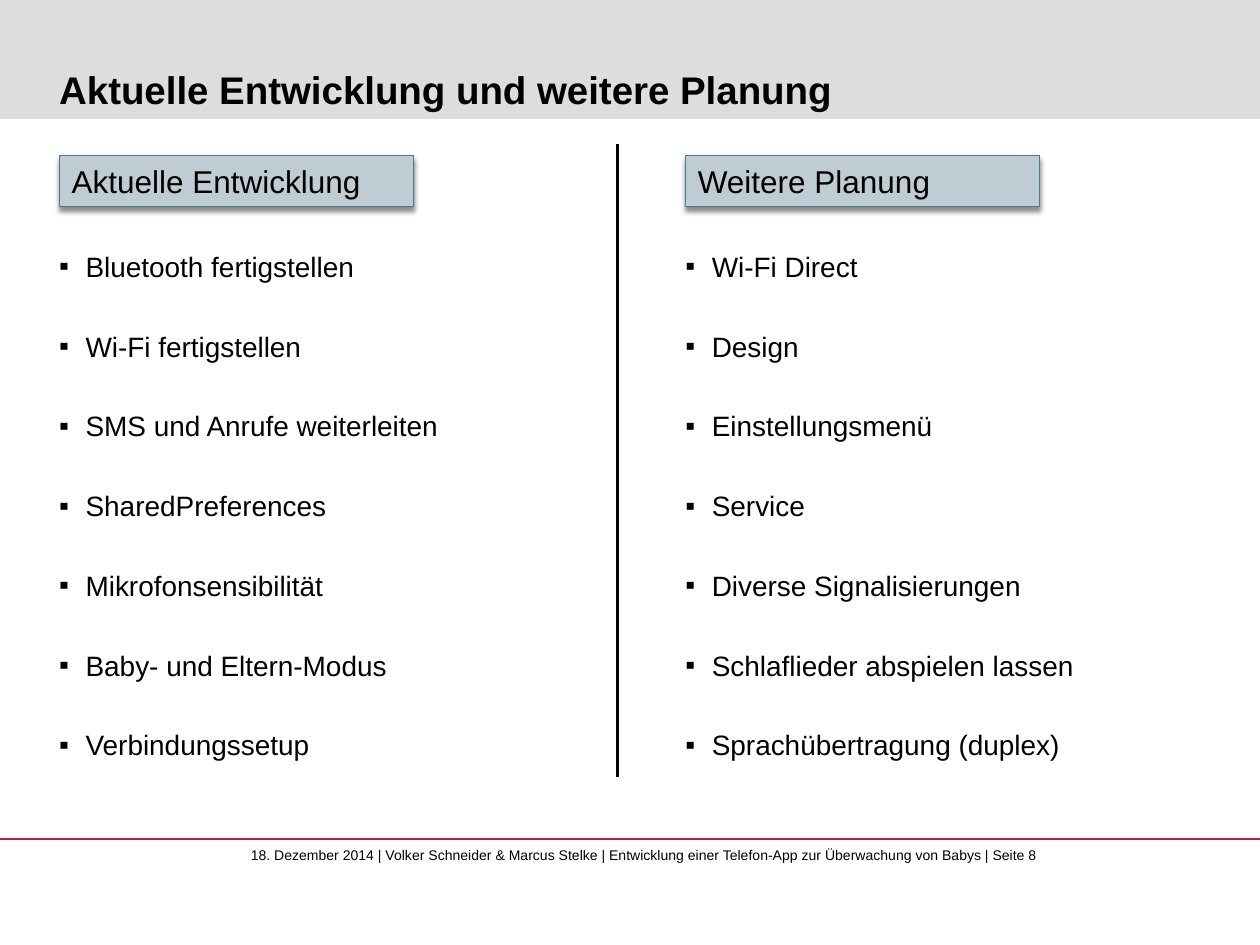
from lxml import etree
from pptx import Presentation
from pptx.dml.color import RGBColor
from pptx.enum.shapes import MSO_CONNECTOR, MSO_SHAPE
from pptx.enum.text import MSO_ANCHOR, PP_ALIGN
from pptx.oxml import parse_xml
from pptx.oxml.ns import nsdecls, qn
from pptx.util import Pt

RECTANGLE = MSO_SHAPE.RECTANGLE
STRAIGHT = MSO_CONNECTOR.STRAIGHT
TOP, BOTTOM = MSO_ANCHOR.TOP, MSO_ANCHOR.BOTTOM
LEFT = PP_ALIGN.LEFT
rgb = RGBColor.from_string

MARGIN = 33.84
INDENT = 15.12
COLUMNS = [
    (MARGIN, "Aktuelle Entwicklung", [
        "Bluetooth fertigstellen", "Wi-Fi fertigstellen",
        "SMS und Anrufe weiterleiten", "SharedPreferences",
        "Mikrofonsensibilität", "Baby- und Eltern-Modus",
        "Verbindungssetup"]),
    (391.68, "Weitere Planung", [
        "Wi-Fi Direct", "Design", "Einstellungsmenü", "Service",
        "Diverse Signalisierungen", "Schlaflieder abspielen lassen",
        "Sprachübertragung (duplex)"]),
]

prs = Presentation()
prs.slide_width, prs.slide_height = Pt(720), Pt(540)
slide = prs.slides.add_slide(prs.slide_layouts[6])
shapes = slide.shapes


def add_text(left, top, width, height, lines, size, bold=False, anchor=TOP):
    """Add a text box without insets and return its paragraphs."""
    frame = shapes.add_textbox(Pt(left), Pt(top), Pt(width), Pt(height)).text_frame
    frame.margin_left = frame.margin_right = 0
    frame.margin_top = frame.margin_bottom = 0
    frame.word_wrap = True
    frame.vertical_anchor = anchor
    frame.text = "\n".join(lines)
    for paragraph in frame.paragraphs:
        font = paragraph.font
        font.name, font.size, font.bold = "Arial", Pt(size), bold
        font.color.rgb = rgb("000000")
    return frame.paragraphs


def add_rule(x1, y1, x2, y2, color, width):
    rule = shapes.add_connector(STRAIGHT, Pt(x1), Pt(y1), Pt(x2), Pt(y2))
    rule.line.color.rgb = rgb(color)
    rule.line.width = Pt(width)
    etree.SubElement(rule._element.spPr, qn("a:effectLst"))


header = shapes.add_shape(RECTANGLE, 0, 0, Pt(720), Pt(68))
header.shadow.inherit = False
header.fill.solid()
header.fill.fore_color.rgb = rgb("DDDDDD")
header.line.fill.background()

add_rule(0, 479.5, 720, 479.5, "BE1E3C", 0.75)
add_text(143.3, 484, 468.7, 19.4, [
    "18. Dezember 2014 | Volker Schneider & Marcus Stelke | "
    "Entwicklung einer Telefon-App zur Überwachung von Babys | Seite 8"], 8)
add_text(MARGIN, 8.6, 659.5, 55.5,
         ["Aktuelle Entwicklung und weitere Planung"], 22, True, BOTTOM)

for left, heading, points in COLUMNS:
    for paragraph in add_text(left, 142.6, 290.9, 318.2, points, 16):
        paragraph.space_after = Pt(26.35)
        properties = paragraph._p.get_or_add_pPr()
        properties.set("marL", str(Pt(INDENT)))
        properties.set("indent", str(-Pt(INDENT)))
        bullet_font = parse_xml(f'<a:buFont {nsdecls("a")} typeface="Arial"/>')
        bullet = parse_xml(f'<a:buChar {nsdecls("a")} char="▪"/>')
        properties.insert_element_before(bullet_font, "a:defRPr")
        properties.insert_element_before(bullet, "a:defRPr")

    label = shapes.add_shape(RECTANGLE, Pt(left), Pt(89), Pt(202.3), Pt(29.1))
    label.fill.solid()
    label.fill.fore_color.rgb = rgb("C0CCD3")
    label.line.color.rgb = rgb("407E97")
    label.line.width = Pt(0.79)
    label.shadow.inherit = False
    effects = label._element.spPr.find(qn("a:effectLst"))
    effects.append(parse_xml(
        f'<a:outerShdw {nsdecls("a")} blurRad="{Pt(3)}" dist="{Pt(2.4)}" '
        'dir="5400000" rotWithShape="0"><a:srgbClr val="000000">'
        '<a:alpha val="45000"/></a:srgbClr></a:outerShdw>'))
    label.text_frame.vertical_anchor = TOP
    label.text_frame.text = heading
    paragraph = label.text_frame.paragraphs[0]
    paragraph.alignment = LEFT
    paragraph.font.name, paragraph.font.size = "Arial", Pt(18)
    paragraph.font.color.rgb = rgb("000000")

add_rule(352.8, 82.1, 352.8, 444.2, "000000", 1.5)

prs.save("out.pptx")
